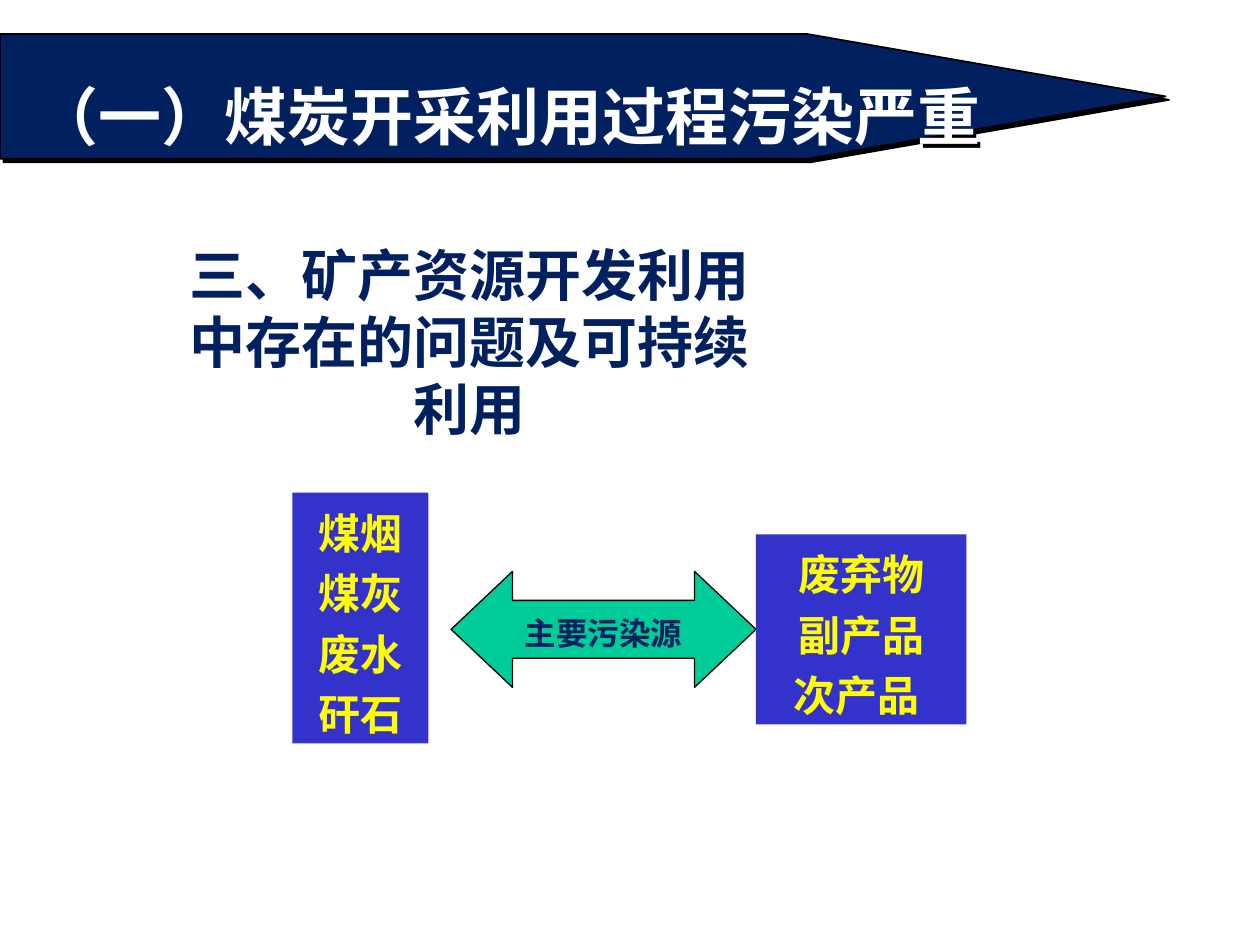
from dataclasses import dataclass

import pptx
import pptx.dml.color
import pptx.enum.shapes
import pptx.enum.text
import pptx.oxml
import pptx.oxml.ns
import pptx.util
from pptx.util import Inches

SHAPE = pptx.enum.shapes.MSO_SHAPE
ALIGN = pptx.enum.text.PP_ALIGN


@dataclass(frozen=True)
class Theme:
    """Colours, fonts and type sizes of the slide."""
    navy: str = "002060"
    blue: str = "3333CC"
    green: str = "00CC99"
    yellow: str = "FFFF00"
    white: str = "FFFFFF"
    black: str = "000000"
    latin: str = "Arial"
    chinese: str = "Noto Sans CJK SC"
    banner_size: int = 36
    heading_size: int = 32
    list_size: int = 24
    label_size: int = 18


THEME = Theme()


def rgb(code):
    """Turn a hex code into a colour."""
    return pptx.dml.color.RGBColor.from_string(code)


def add_block(slide, kind, box, fill, line_width=None):
    """Add a filled shape, outlined in black when a line width is given."""
    block = slide.shapes.add_shape(kind, *map(Inches, box))
    block.shadow.inherit = False
    block.fill.solid()
    block.fill.fore_color.rgb = rgb(fill)
    if line_width:
        block.line.color.rgb = rgb(THEME.black)
        block.line.width = pptx.util.Pt(line_width)
    else:
        block.line.fill.background()
    return block


def write(frame, lines, size, color, font=THEME.latin, align=ALIGN.CENTER, spacing=None):
    """Write bold lines into a text frame, one paragraph each."""
    for index, line in enumerate(lines):
        paragraph = frame.paragraphs[0] if index == 0 else frame.add_paragraph()
        paragraph.text = line
        paragraph.alignment = align
        paragraph.line_spacing = spacing
        paragraph.font.size = pptx.util.Pt(size)
        paragraph.font.bold = True
        paragraph.font.name = font
        paragraph.font.color.rgb = rgb(color)


def cast_shadow(shape):
    """Give a shape a hard black shadow to the lower right."""
    effects = shape._element.spPr.find(pptx.oxml.ns.qn("a:effectLst"))
    effects.append(pptx.oxml.parse_xml(
        f'<a:outerShdw {pptx.oxml.ns.nsdecls("a")} dist="{pptx.util.Pt(2.8)}" '
        f'dir="2700000" algn="ctr" rotWithShape="0">'
        f'<a:srgbClr val="{THEME.black}"/></a:outerShdw>'))


def add_banner(slide, box, title):
    """Place the pointed title banner."""
    banner = add_block(slide, SHAPE.PENTAGON, box, THEME.navy, 1)
    banner.adjustments[0] = 2.87
    cast_shadow(banner)
    frame = banner.text_frame
    frame.margin_left = frame.margin_right = 0
    write(frame, [title], THEME.banner_size, THEME.white, align=ALIGN.LEFT, spacing=1.5)
    frame.paragraphs[0]._p.get_or_add_pPr().set("marL", str(Inches(0.28)))


def add_heading(slide, box, text):
    """Place the chapter heading."""
    frame = slide.shapes.add_textbox(*map(Inches, box)).text_frame
    frame.word_wrap = True
    write(frame, [text], THEME.heading_size, THEME.navy)


def add_list(slide, box, items):
    """Place a blue panel with one item on each line."""
    panel = add_block(slide, SHAPE.RECTANGLE, box, THEME.blue)
    write(panel.text_frame, items, THEME.list_size, THEME.yellow, THEME.chinese, spacing=1.2)


def add_pollution_diagram(slide, box):
    """Place two lists on a shared axis with a labelled arrow between them."""
    left, top, width, height = box
    middle = top + height / 2
    products_width, products_height = 1.67, 1.51
    products_left = left + width - products_width
    arrow_width, arrow_height = 2.42, 0.92
    add_list(slide, (left, top, 1.08, height), ["煤烟", "煤灰", "废水", "矸石"])
    arrow = add_block(
        slide, SHAPE.LEFT_RIGHT_ARROW,
        (products_left - arrow_width, middle + 0.09 - arrow_height / 2, arrow_width, arrow_height),
        THEME.green, 0.75)
    arrow.adjustments[0] = 0.5
    arrow.adjustments[1] = 0.53
    arrow.text_frame.word_wrap = False
    write(arrow.text_frame, ["主要污染源"], THEME.label_size, THEME.navy, spacing=1.2)
    add_list(
        slide,
        (products_left, middle + 0.09 - products_height / 2, products_width, products_height),
        ["废弃物", "副产品", "次产品 "])


def main():
    """Build the slide and save it."""
    deck = pptx.Presentation()
    deck.slide_width, deck.slide_height = Inches(10), Inches(7.5)
    slide = deck.slides.add_slide(deck.slide_layouts[6])
    add_pollution_diagram(slide, (2.32, 3.91, 5.35, 1.99))
    add_banner(slide, (0, 0.27, 9.25, 0.99), "（一）煤炭开采利用过程污染严重")
    add_heading(slide, (1.23, 1.86, 5, 1.72), "三、矿产资源开发利用中存在的问题及可持续利用")
    deck.save("out.pptx")


if __name__ == "__main__":
    main()
